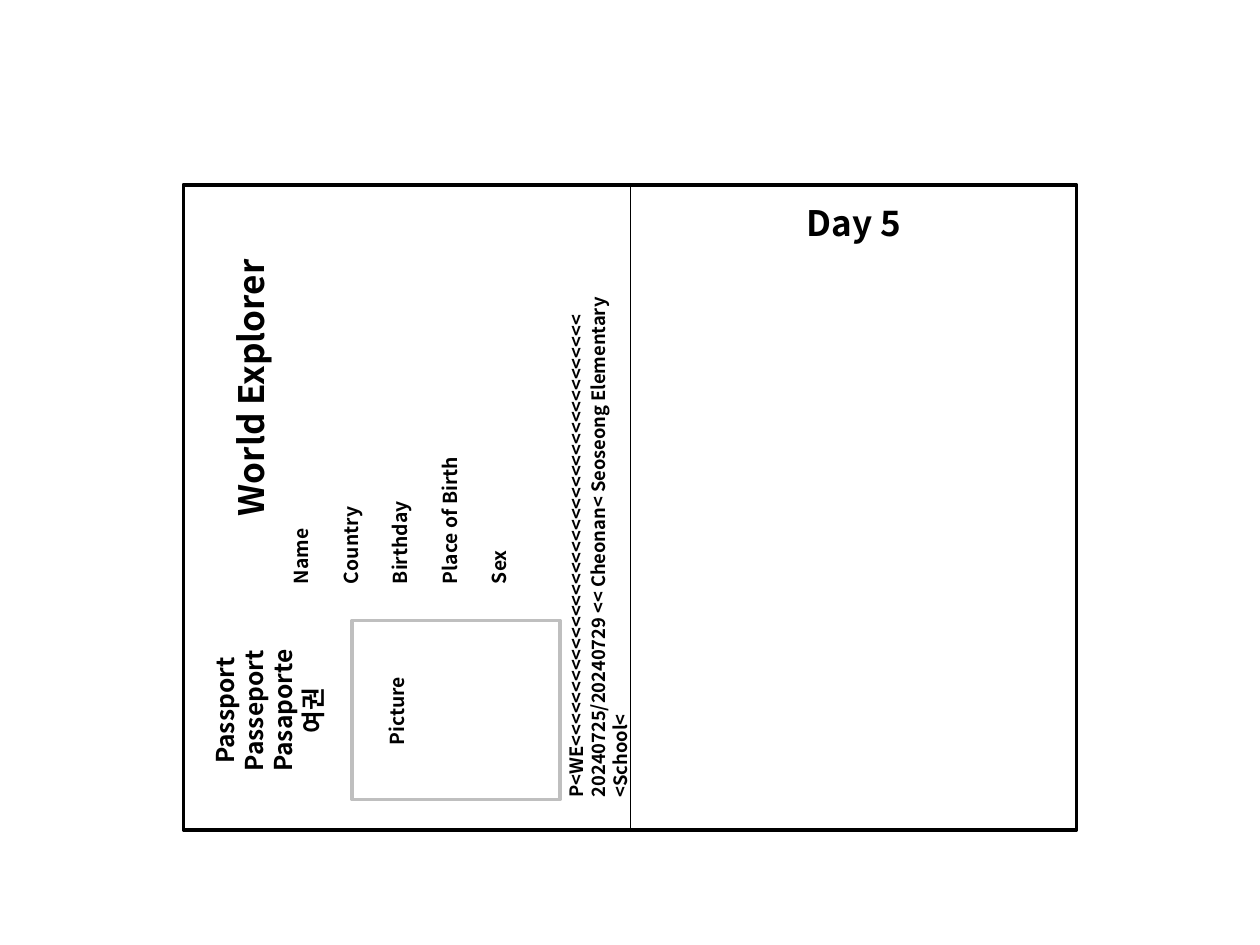
from dataclasses import dataclass

import lxml.etree
import pptx
import pptx.dml.color
import pptx.enum.shapes
import pptx.enum.text
import pptx.oxml.ns
import pptx.util

Pt = pptx.util.Pt
FONT = "Noto Sans CJK KR"
BLACK, WHITE, GREY = "000000", "FFFFFF", "BFBFBF"
READ_UPWARD = 270


@dataclass
class Box:
    """Unrotated frame, in points."""
    left: float
    top: float
    width: float
    height: float


@dataclass
class Label:
    lines: list[str]
    box: Box
    size: float
    centered: bool = True


def color(value: str) -> pptx.dml.color.RGBColor:
    return pptx.dml.color.RGBColor.from_string(value)


def place(shape, box: Box, rotation: float = 0) -> None:
    shape.left, shape.top = Pt(box.left), Pt(box.top)
    shape.width, shape.height = Pt(box.width), Pt(box.height)
    shape.rotation = rotation


def write_text(shape, lines: list[str], *, size: float, centered: bool = True) -> None:
    frame = shape.text_frame
    frame.word_wrap = True
    frame.auto_size = pptx.enum.text.MSO_AUTO_SIZE.SHAPE_TO_FIT_TEXT
    frame.vertical_anchor = pptx.enum.text.MSO_ANCHOR.TOP
    alignments = pptx.enum.text.PP_ALIGN
    for index, line in enumerate(lines):
        paragraph = frame.add_paragraph() if index else frame.paragraphs[0]
        paragraph.alignment = alignments.CENTER if centered else alignments.LEFT
        paragraph.space_before = Pt(0)
        run = paragraph.add_run()
        run.text = line
        run.font.name = FONT
        run.font.size = Pt(size)
        run.font.bold = True
        run.font.color.rgb = color(BLACK)
        # Hangul takes its typeface from the East Asian slot
        east_asian = lxml.etree.SubElement(
            run.font._element, pptx.oxml.ns.qn("a:ea"))
        east_asian.set("typeface", FONT)


def add_label(slide, label: Label) -> None:
    shape = slide.shapes.add_textbox(0, 0, Pt(1), Pt(1))
    place(shape, label.box, READ_UPWARD)
    write_text(shape, label.lines, size=label.size, centered=label.centered)


def add_rectangle(slide, box: Box, *, line: str, fill: str | None = None,
                  rotation: float = 0) -> None:
    shape = slide.shapes.add_shape(
        pptx.enum.shapes.MSO_SHAPE.RECTANGLE, 0, 0, Pt(1), Pt(1))
    place(shape, box, rotation)
    shape.shadow.inherit = False
    shape.line.color.rgb = color(line)
    shape.line.width = Pt(2)
    if fill:
        shape.fill.solid()
        shape.fill.fore_color.rgb = color(fill)
    else:
        shape.fill.background()


def add_fold(slide, x: float, top: float, bottom: float) -> None:
    connector = slide.shapes.add_connector(
        pptx.enum.shapes.MSO_CONNECTOR.STRAIGHT, Pt(x), Pt(top), Pt(x), Pt(bottom))
    connector.line.color.rgb = color(BLACK)
    connector.line.width = Pt(0.5)
    lxml.etree.SubElement(connector._element.spPr, pptx.oxml.ns.qn("a:effectLst"))


SPREAD = Box(104.8, 105.6, 510.4, 368.6)
FIELDS = ["Name", "Country", "Birthday", "Place of Birth", "Sex"]
FIELD_LEFT, FIELD_STEP = 121, 28.3

LABELS = [
    Label(["Passport", "Passeport", "Pasaporte", "여권"],
          Box(97.2, 368.6, 113, 74.9), 14),
    Label(["Picture"], Box(187.2, 396, 79.2, 20.6), 11),
    Label(["World Explorer"], Box(49.7, 205.9, 187.2, 31.5), 20),
    *(Label([field], Box(FIELD_LEFT + FIELD_STEP * index, 279.4, 102.2, 20.6),
            11, centered=False)
      for index, field in enumerate(FIELDS)),
    Label(["P<WE" + "<" * 40,
           "20240725/20240729 << Cheonan< Seoseong Elementary <School<"],
          Box(169.2, 267.1, 345.6, 45.4), 10.5, centered=False),
]


def main() -> None:
    presentation = pptx.Presentation()
    presentation.slide_width, presentation.slide_height = Pt(720), Pt(540)
    slide = presentation.slides.add_slide(presentation.slide_layouts[5])

    # Open passport spread with its fold
    add_rectangle(slide, SPREAD, line=BLACK, fill=WHITE)
    add_fold(slide, SPREAD.left + SPREAD.width / 2,
             SPREAD.top, SPREAD.top + SPREAD.height)

    # Right page: the title, raised above the spread
    title = slide.shapes.title
    place(title, Box(365.8, 111.6, 244, 31.5))
    write_text(title, ["Day 5"], size=20)
    slide.shapes._spTree.append(title._element)

    # Left page: text reading upward, and the photo frame
    for label in LABELS:
        add_label(slide, label)
    add_rectangle(slide, Box(209.5, 346.3, 102.2, 118.8), line=GREY,
                  rotation=READ_UPWARD)

    presentation.save("out.pptx")


if __name__ == "__main__":
    main()
